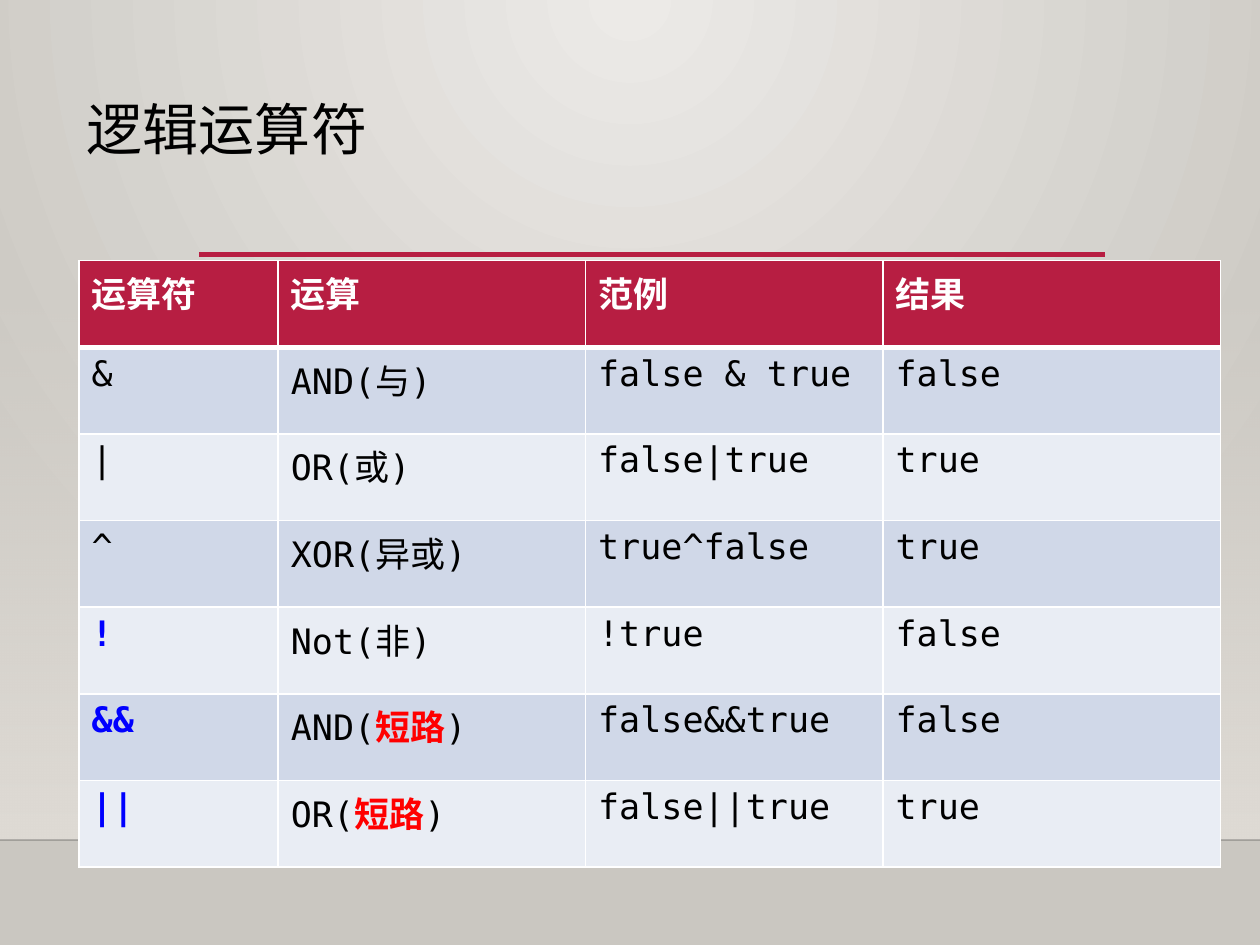
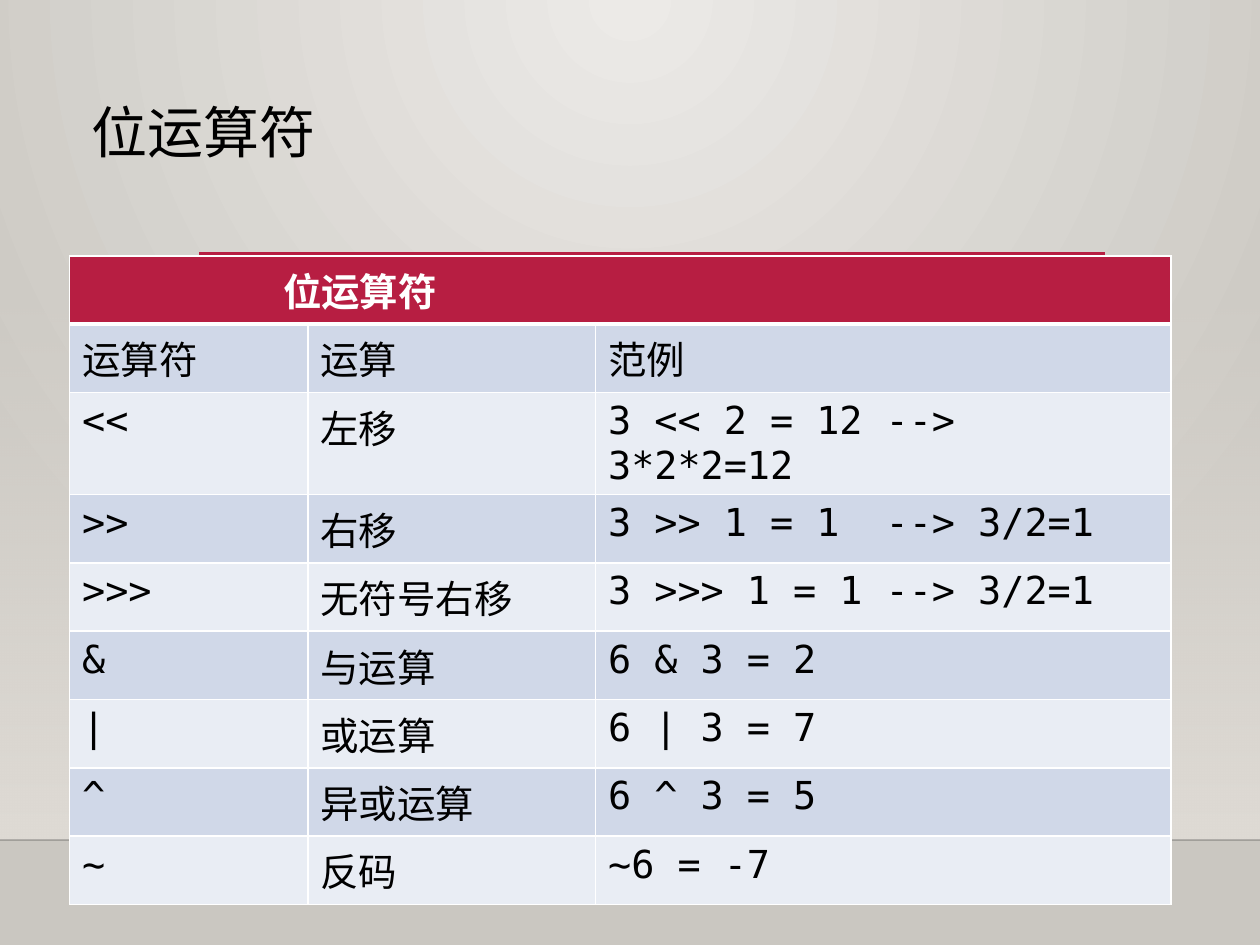
from dataclasses import dataclass

from lxml import etree
from pptx import Presentation
from pptx.dml.color import RGBColor
from pptx.enum.shapes import MSO_CONNECTOR, MSO_SHAPE
from pptx.enum.text import MSO_ANCHOR, MSO_AUTO_SIZE, PP_ALIGN
from pptx.oxml.ns import qn
from pptx.util import Pt

STRAIGHT = MSO_CONNECTOR.STRAIGHT
RECTANGLE = MSO_SHAPE.RECTANGLE
TOP = MSO_ANCHOR.TOP
NO_AUTOFIT = MSO_AUTO_SIZE.NONE
LEFT = PP_ALIGN.LEFT

# Shared style
FONT = "DejaVu Sans Mono"
BLACK, WHITE, RED, BLUE = "000000", "FFFFFF", "FF0000", "0000FF"
ACCENT, SAND = "B71E42", "DFDBD5"
ROW_FILLS = ("E9EDF4", "D0D8E8")
SLIDE_W, SLIDE_H = 720, 540
BAND_Y, FLOOR_Y = 158.4, 480
SHORT_CIRCUIT = "短路"
KEY_OPERATORS = ("!", "&&", "||")


@dataclass
class Rule:
    x1: float
    x2: float
    y: float
    color: str
    weight: float
    opacity: int = 100


@dataclass
class TableSpec:
    left: float
    top: float
    col_widths: tuple
    row_height: float
    size: float
    rows: list


RULES = (
    Rule(0, SLIDE_W, FLOOR_Y, "000001", 1, 20),
    Rule(113.8, 631.4, 145.4, ACCENT, 2.5),
)

LOGIC_TABLE = TableSpec(45.2, 149, (113.8, 175.6, 170, 193), 49.5, 20, [
    ("运算符", "运算", "范例", "结果"),
    ("&", "AND(与)", "false & true", "false"),
    ("|", "OR(或)", "false|true", "true"),
    ("^", "XOR(异或)", "true^false", "true"),
    ("!", "Not(非)", "!true", "false"),
    ("&&", "AND(短路)", "false&&true", "false"),
    ("||", "OR(短路)", "false||true", "true"),
])

BIT_TABLE = TableSpec(39.8, 146.2, (136.2, 164.4, 328.8), 33.6, 22, [
    ("位运算符",),
    ("运算符", "运算", "范例"),
    ("<<", "左移", "3 << 2 = 12 --> 3*2*2=12"),
    (">>", "右移", "3 >> 1 = 1  --> 3/2=1"),
    (">>>", "无符号右移", "3 >>> 1 = 1 --> 3/2=1"),
    ("&", "与运算", "6 & 3 = 2"),
    ("|", "或运算", "6 | 3 = 7"),
    ("^", "异或运算", "6 ^ 3 = 5"),
    ("~", "反码", "~6 = -7"),
])


def rgb(color: str) -> RGBColor:
    return RGBColor.from_string(color)


def add(parent, tag: str, **attrs):
    return etree.SubElement(parent, qn(tag), {k: str(v) for k, v in attrs.items()})


def style_font(font, size: float, color: str, bold: bool = False) -> None:
    font.name, font.size, font.bold = FONT, Pt(size), bold
    font.color.rgb = rgb(color)


def start_gradient(fill, owner, stops):
    """Replace the fill by colour stops (position, colour, opacity)."""
    fill.gradient()
    grad = owner.xpath(".//a:gradFill")[0]
    for child in list(grad):
        grad.remove(child)
    gs_list = add(grad, "a:gsLst")
    for position, color, opacity in stops:
        gs = add(gs_list, "a:gs", pos=position * 1000)
        clr = add(gs, "a:srgbClr", val=color)
        if opacity < 100:
            add(clr, "a:alpha", val=opacity * 1000)
    return grad


# Master: background, band and rules
def draw_rule(slide, rule: Rule):
    line = slide.shapes.add_connector(
        STRAIGHT, Pt(rule.x1), Pt(rule.y), Pt(rule.x2), Pt(rule.y))
    line.line.color.rgb = rgb(rule.color)
    line.line.width = Pt(rule.weight)
    if rule.opacity < 100:
        clr = line.element.xpath(".//a:ln//a:srgbClr")[0]
        add(clr, "a:alpha", val=rule.opacity * 1000)
    add(line.element.spPr, "a:effectLst")
    return line


def draw_master(prs, slide) -> None:
    master = prs.slide_master
    grad = start_gradient(master.background.fill, master.element,
                          [(0, "ECEAE7", 100), (100, "CAC7C1", 100)])
    path = add(grad, "a:path", path="circle")
    add(path, "a:fillToRect", l=43000, t=0, r=43000, b=100000)

    band = slide.shapes.add_shape(
        RECTANGLE, 0, Pt(BAND_Y), Pt(SLIDE_W), Pt(FLOOR_Y - BAND_Y))
    band.shadow.inherit = False
    band.line.fill.background()
    grad = start_gradient(band.fill, band.element, [(0, SAND, 0), (100, SAND, 100)])
    add(grad, "a:lin", ang=5400000, scaled=0)

    # Shared parts move from the slide to the back of the master
    tree = master.shapes.element
    parts = [band] + [draw_rule(slide, rule) for rule in RULES]
    for i, part in enumerate(parts):
        part.element.xpath(".//p:cNvPr")[0].set("id", str(100 + i))
        tree.insert(2 + i, part.element)


# Titles
def set_title(slide, text: str, left: float, top: float) -> None:
    sp = slide.shapes.title
    sp.left, sp.top, sp.width, sp.height = Pt(left), Pt(top), Pt(648), Pt(67.7)
    tf = sp.text_frame
    tf.text = text
    tf.vertical_anchor = TOP
    tf.auto_size = NO_AUTOFIT
    p = tf.paragraphs[0]
    p.alignment = LEFT
    p.line_spacing = 0.9
    style_font(p.font, 32, BLACK)


# Tables
def set_borders(cell, top: float, bottom: float) -> None:
    tcPr = cell._tc.get_or_add_tcPr()
    sides = (("a:lnL", 1), ("a:lnR", 1), ("a:lnT", top), ("a:lnB", bottom))
    for i, (tag, weight) in enumerate(sides):
        ln = add(tcPr, tag, w=Pt(weight))
        add(add(ln, "a:solidFill"), "a:srgbClr", val=WHITE)
        tcPr.insert(i, ln)


def fill_cell(cell, text: str, row: int, size: float) -> None:
    header = row == 0
    cell.fill.solid()
    cell.fill.fore_color.rgb = rgb(ACCENT if header else ROW_FILLS[row % 2])
    set_borders(cell, 3 if row == 1 else 1, 3 if header else 1)
    p = cell.text_frame.paragraphs[0]
    key = text in KEY_OPERATORS
    color = WHITE if header else BLUE if key else BLACK
    style_font(p.font, size, color, header or key)
    for piece in text.partition(SHORT_CIRCUIT):
        if piece:
            r = p.add_run()
            r.text = piece
            if piece == SHORT_CIRCUIT:
                r.font.bold = True
                r.font.color.rgb = rgb(RED)


def draw_table(slide, spec: TableSpec):
    n_rows, n_cols = len(spec.rows), len(spec.col_widths)
    frame = slide.shapes.add_table(
        n_rows, n_cols, Pt(spec.left), Pt(spec.top),
        Pt(sum(spec.col_widths)), Pt(spec.row_height * n_rows))
    table = frame.table
    for column, width in zip(table.columns, spec.col_widths):
        column.width = Pt(width)
    for i, texts in enumerate(spec.rows):
        table.rows[i].height = Pt(spec.row_height)
        if len(texts) == 1:
            table.cell(i, 0).merge(table.cell(i, n_cols - 1))
        for j, text in enumerate(texts):
            fill_cell(table.cell(i, j), text, i, spec.size)
    return table


def main() -> None:
    prs = Presentation()
    prs.slide_width, prs.slide_height = Pt(SLIDE_W), Pt(SLIDE_H)
    title_layout = prs.slide_layouts[5]

    # Logical operators
    slide = prs.slides.add_slide(title_layout)
    draw_master(prs, slide)
    set_title(slide, "逻辑运算符", 42.5, 54.7)
    draw_table(slide, LOGIC_TABLE)

    # Bitwise operators
    slide = prs.slides.add_slide(title_layout)
    set_title(slide, "位运算符", 45, 56.2)
    table = draw_table(slide, BIT_TABLE)
    table.cell(0, 0).margin_left = Pt(122)

    prs.save("out.pptx")


if __name__ == "__main__":
    main()
